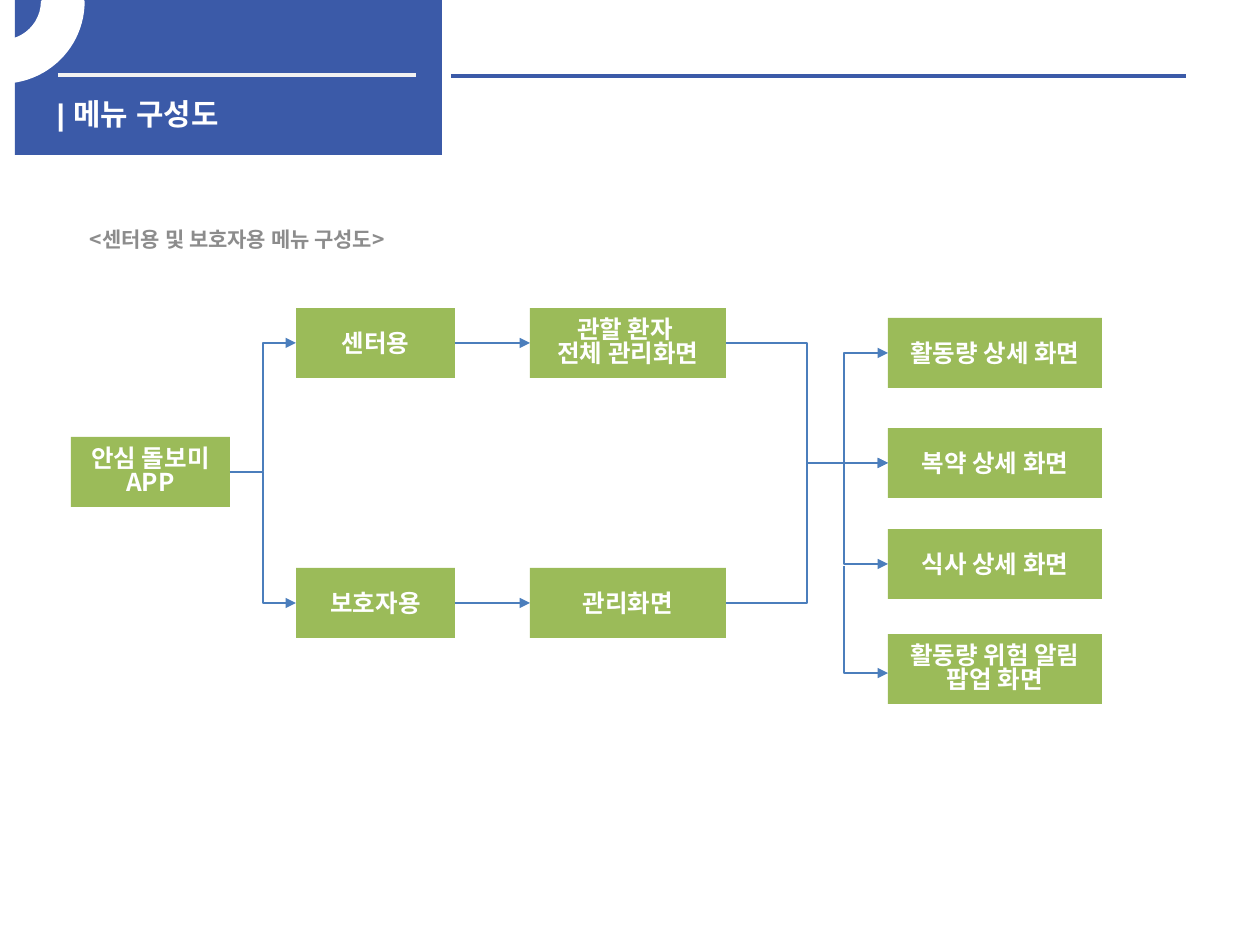
from dataclasses import dataclass

from lxml.etree import SubElement
from pptx import Presentation
from pptx.dml.color import RGBColor as RGB
from pptx.enum.shapes import MSO_CONNECTOR as CONN, MSO_SHAPE as SHAPE
from pptx.enum.text import MSO_ANCHOR as ANCHOR, PP_ALIGN as ALIGN
from pptx.oxml.ns import qn
from pptx.util import Emu, Pt

PX_PER_INCH = 126


@dataclass(frozen=True)
class Theme:
    band: RGB = RGB(0x3B, 0x5A, 0xA8)
    box: RGB = RGB(0x9B, 0xBB, 0x59)
    arrow: RGB = RGB(0x4B, 0x7E, 0xBC)
    pale: RGB = RGB(0xF2, 0xF2, 0xF2)
    white: RGB = RGB(0xFF, 0xFF, 0xFF)
    grey: RGB = RGB(0x8C, 0x8C, 0x8C)
    title_font: str = "Arial"
    font: str = "Noto Sans CJK KR"
    title_size: int = 17
    box_size: int = 14
    caption_size: int = 12
    rule_width: float = 2.25
    arrow_width: float = 0.75


@dataclass(frozen=True)
class Box:
    lines: tuple[str, ...]
    x: int
    y: int
    w: int
    wraps: bool = False
    h: int = 70

    @property
    def left(self) -> tuple[int, int]:
        return self.x, self.y + self.h // 2

    @property
    def right(self) -> tuple[int, int]:
        return self.x + self.w, self.y + self.h // 2


T = Theme()


def px(n: int) -> Emu:
    return Emu(round(n * 914400 / PX_PER_INCH))


def write(tf, lines, size: int, color: RGB, font: str, align, anchor, spacing=None) -> None:
    tf.word_wrap = True
    tf.vertical_anchor = anchor
    for i, line in enumerate(lines):
        p = tf.paragraphs[0] if i == 0 else tf.add_paragraph()
        p.alignment = align
        p.line_spacing = spacing
        r = p.add_run()
        r.text = line
        fmt = {"size": Pt(size), "bold": True, "name": font}
        for key, value in fmt.items():
            setattr(r.font, key, value)
        r.font.color.rgb = color
        SubElement(r._r.get_or_add_rPr(), qn("a:ea"), typeface=font)


def add_filled(s, kind, x: int, y: int, w: int, h: int, fill: RGB):
    sp = s.shapes.add_shape(kind, px(x), px(y), px(w), px(h))
    sp.shadow.inherit = False
    sp.fill.solid()
    sp.fill.fore_color.rgb = fill
    sp.line.fill.background()
    return sp


def add_box(s, box: Box):
    sp = add_filled(s, SHAPE.RECTANGLE, box.x, box.y, box.w, box.h, T.box)
    tight = 0.82 if box.wraps else None
    write(sp.text_frame, box.lines, T.box_size, T.white, T.font,
          ALIGN.CENTER, ANCHOR.MIDDLE, tight)
    return sp


def add_line(s, kind, start: tuple[int, int], end: tuple[int, int], color: RGB, width: float):
    c = s.shapes.add_connector(kind, *map(px, start + end))
    c.line.color.rgb = color
    c.line.width = Pt(width)
    SubElement(c._element.spPr, qn("a:effectLst"))
    return c


def add_arrow(s, kind, start: tuple[int, int], end: tuple[int, int], bend: int | None = None):
    """Arrow; bend is the elbow's place along its width in 1/100000."""
    c = add_line(s, kind, start, end, T.arrow, T.arrow_width)
    SubElement(c.line._get_or_add_ln(), qn("a:tailEnd"), type="triangle")
    if bend is not None:
        guides = c._element.spPr.prstGeom.get_or_add_avLst()
        SubElement(guides, qn("a:gd"), name="adj1", fmla=f"val {bend}")
    return c


# Menu tree, column by column
APP = Box(("안심 돌보미 APP",), 71, 437, 159, wraps=True)
CENTER = Box(("센터용",), 296, 308, 159)
GUARDIAN = Box(("보호자용",), 296, 568, 159)
CENTER_VIEW = Box(("관할 환자 ", "전체 관리화면"), 530, 308, 196, wraps=True)
GUARDIAN_VIEW = Box(("관리화면",), 530, 568, 196)
ACTIVITY = Box(("활동량 상세 화면",), 888, 318, 214)
MEDICINE = Box(("복약 상세 화면",), 888, 428, 214)
MEAL = Box(("식사 상세 화면",), 888, 529, 214)
ALERT = Box(("활동량 위험 알림 팝업 화면",), 888, 634, 214, wraps=True)
BOXES = (APP, CENTER, GUARDIAN, CENTER_VIEW, GUARDIAN_VIEW, ACTIVITY, MEDICINE, MEAL, ALERT)

ELBOWS = ((APP, CENTER), (APP, GUARDIAN), (CENTER_VIEW, MEDICINE), (GUARDIAN_VIEW, MEDICINE))
STRAIGHTS = ((CENTER, CENTER_VIEW), (GUARDIAN, GUARDIAN_VIEW))
TRUNK_X = 844
BRANCHES = ((465, ACTIVITY.left), (465, MEAL.left), (566, (ALERT.x, 673)))


def main() -> None:
    prs = Presentation()
    prs.slide_width, prs.slide_height = px(1260), px(945)
    s = prs.slides.add_slide(prs.slide_layouts[5])

    # Header band, rules and ring
    add_filled(s, SHAPE.RECTANGLE, 15, 0, 427, 155, T.band)
    add_line(s, CONN.STRAIGHT, (58, 75), (416, 75), T.pale, T.rule_width)
    add_line(s, CONN.STRAIGHT, (451, 76), (1186, 76), T.band, T.rule_width)
    ring = add_filled(s, SHAPE.BLOCK_ARC, -79, -79, 162, 161, T.white)
    ring.line.color.rgb = T.white
    ring.line.width = Pt(2)
    ring._element.spPr.xfrm.set("flipV", "1")
    for i, value in enumerate((161.59, 0, 0.25)):
        ring.adjustments[i] = value

    # Title, brought in front of the band
    title = s.shapes.title
    place = {"left": px(44), "top": px(96), "width": px(387), "height": px(40)}
    for key, value in place.items():
        setattr(title, key, value)
    title.text_frame.margin_top = title.text_frame.margin_bottom = 0
    write(title.text_frame, ("| 메뉴 구성도",), T.title_size, T.white, T.title_font,
          ALIGN.LEFT, ANCHOR.TOP)
    s.shapes._spTree.append(title._element)

    # Caption
    caption = s.shapes.add_textbox(px(38), px(214), px(399), px(50))
    write(caption.text_frame, ("<센터용 및 보호자용 메뉴 구성도>",), T.caption_size, T.grey,
          T.font, ALIGN.CENTER, ANCHOR.MIDDLE)

    # Boxes and arrows
    drawn = {box: add_box(s, box) for box in BOXES}
    for a, b in ELBOWS:
        add_arrow(s, CONN.ELBOW, a.right, b.left)
    for a, b in STRAIGHTS:
        c = add_arrow(s, CONN.STRAIGHT, a.right, b.left)
        c.begin_connect(drawn[a], 3)
        c.end_connect(drawn[b], 1)
    for y, end in BRANCHES:
        add_arrow(s, CONN.ELBOW, (TRUNK_X, y), end, bend=0)

    prs.save("out.pptx")


if __name__ == "__main__":
    main()
